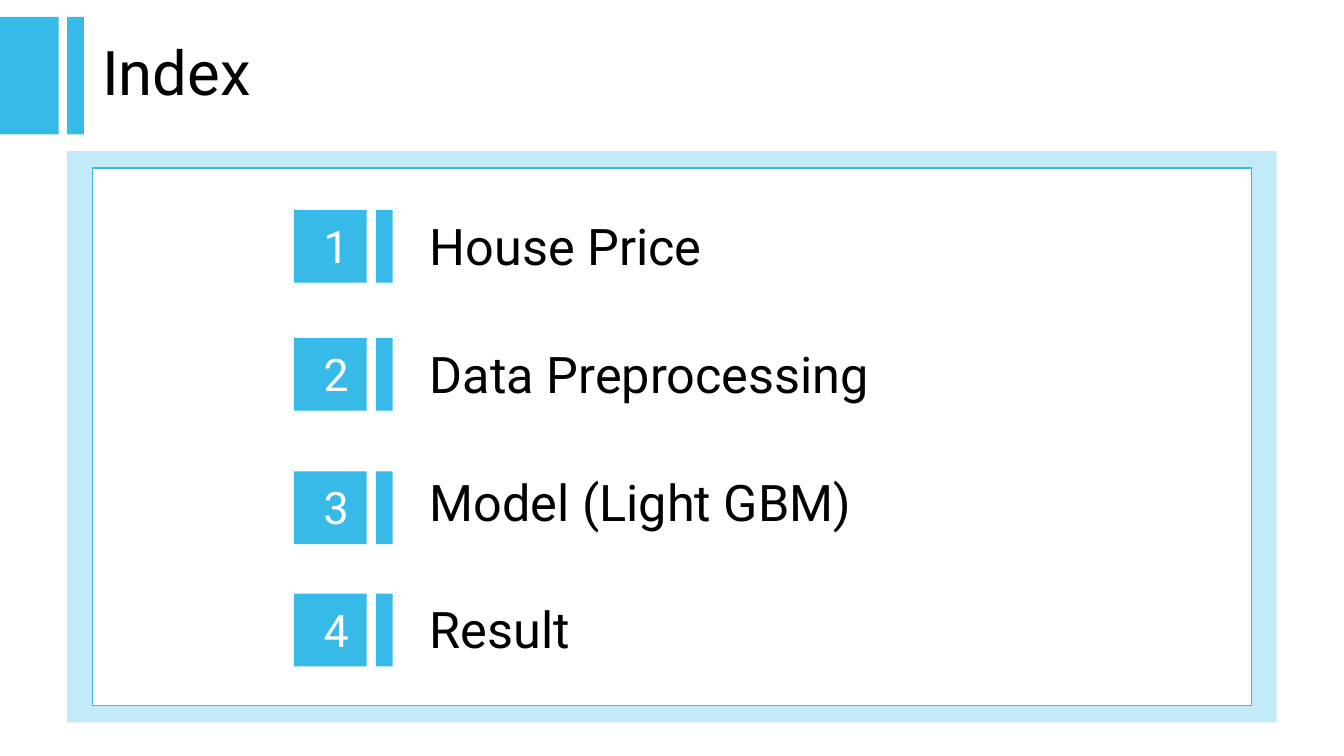
from dataclasses import dataclass

from lxml.etree import SubElement
from pptx import Presentation
from pptx.dml.color import RGBColor
from pptx.enum.shapes import MSO_SHAPE
from pptx.enum.text import MSO_ANCHOR, PP_ALIGN
from pptx.oxml.ns import qn
from pptx.util import Pt


@dataclass(frozen=True)
class Theme:
    accent: RGBColor = RGBColor(0x37, 0xBA, 0xE8)
    paper: RGBColor = RGBColor(0xFF, 0xFF, 0xFF)
    ink: RGBColor = RGBColor(0, 0, 0)
    font: str = "Roboto"
    title_size: int = 44
    entry_size: int = 36
    number_size: int = 32


THEME = Theme()


def add_block(slide, left, top, width, height, fill=THEME.accent, line=None, opacity=None):
    block = slide.shapes.add_shape(
        MSO_SHAPE.RECTANGLE, Pt(left), Pt(top), Pt(width), Pt(height))
    block.shadow.inherit = False
    block.fill.solid()
    block.fill.fore_color.rgb = fill
    if opacity is not None:
        color = block.fill._xPr.find(qn("a:solidFill"))[0]
        SubElement(color, qn("a:alpha"), val=str(opacity * 1000))
    if line is None:
        block.line.fill.background()
    else:
        block.line.color.rgb = line
        block.line.width = Pt(1)


def add_text(slide, text, left, top, width, height, *, size, color=THEME.ink,
             align=PP_ALIGN.LEFT, anchor=MSO_ANCHOR.TOP, spacing=1.0):
    frame = slide.shapes.add_textbox(Pt(left), Pt(top), Pt(width), Pt(height)).text_frame
    frame.word_wrap = True
    frame.vertical_anchor = anchor
    paragraph = frame.paragraphs[0]
    paragraph.alignment = align
    paragraph.line_spacing = spacing
    run = paragraph.add_run()
    run.text = text
    run.font.name = THEME.font
    run.font.size = Pt(size)
    run.font.color.rgb = color


def add_header(slide, title, left, top, width, height):
    # Wide edge block, narrow stripe, then the title
    add_block(slide, left, top, 42, height)
    add_block(slide, left + 48, top, 12, height)
    add_text(slide, title, left + 66, top, width - 66, height,
             size=THEME.title_size, anchor=MSO_ANCHOR.MIDDLE, spacing=0.9)


def add_panel(slide, left, top, width, height):
    # Pale border around an outlined white area
    add_block(slide, left, top, width, height, opacity=30)
    add_block(slide, left + 18, top + 12, width - 36, height - 24,
              fill=THEME.paper, line=THEME.accent)


def add_entry(slide, number, topic, left, top, width, height, badge_shift=0):
    # Numbered badge and stripe
    badge_top = top + badge_shift
    add_block(slide, left, badge_top, height, height)
    add_block(slide, left + height + 6.5, badge_top, 12, height)
    add_text(slide, str(number), left + 14, badge_top + 2.6, 24, 46,
             size=THEME.number_size, color=THEME.paper, align=PP_ALIGN.CENTER)
    # Topic
    add_text(slide, topic, left + 90, top, width - 90, height, size=THEME.entry_size)


def add_index(slide, topics, left, top, width, height, badge_shifts):
    entry_height = 52
    pitch = (height - entry_height) / (len(topics) - 1)
    for row, topic in enumerate(topics):
        add_entry(slide, row + 1, topic, left, top + row * pitch, width, entry_height,
                  badge_shift=badge_shifts.get(row, 0))


presentation = Presentation()
presentation.slide_width = Pt(960)
presentation.slide_height = Pt(540)
index_slide = presentation.slides.add_slide(presentation.slide_layouts[6])

add_panel(index_slide, 48, 108, 864, 408)
add_header(index_slide, "Index", 0, 12, 894, 84)
# The third badge sits slightly below its topic
add_index(index_slide,
          ["House Price", "Data Preprocessing", "Model (Light GBM)", "Result"],
          210, 150, 450, 326, badge_shifts={2: 4})

presentation.save("out.pptx")
